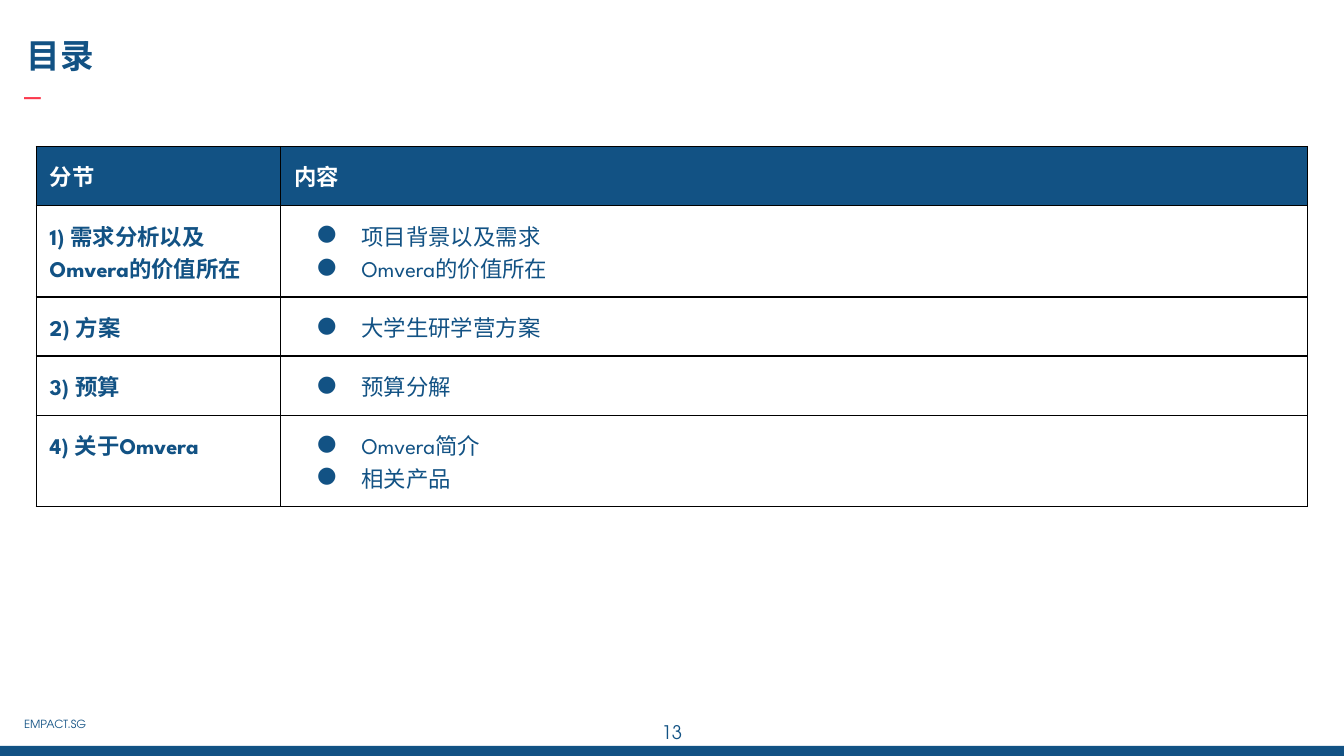
"""Build a contents slide with a two-column table of sections."""
from lxml.etree import SubElement as Sub
from pptx import Presentation
from pptx.dml.color import RGBColor as Rgb
from pptx.enum.shapes import MSO_SHAPE as Shape
from pptx.enum.text import PP_ALIGN as Align
from pptx.oxml.ns import qn
from pptx.util import Inches, Pt

HEX = {"navy": "125284", "red": "FB394D", "white": "FFFFFF", "black": "000000"}
HAN, GEO, BODY = "Noto Sans CJK SC", "TeX Gyre Adventor", "League Spartan"

HEAD = ("分节", "内容")
ROWS = [
    ("1) 需求分析以及Omvera的价值所在", ["项目背景以及需求", "Omvera的价值所在"]),
    ("2) 方案", ["大学生研学营方案"]),
    ("3) 预算", ["预算分解"]),
    ("4) 关于Omvera", ["Omvera简介", "相关产品"]),
]
WIDE = 10
TALL = WIDE * 9 / 16
COLS = (1.82, 7.64)
PAD, LINE = 0.1, 0.24
TEXTS = [
    ("13", (4.7, 5.28, 0.6, 0.43), PAD, "navy", {"name": GEO, "size": Pt(10)}, Align.CENTER),
    ("–", (0.18, 0.55, 3.32, 0.3), 0, "red", {"name": GEO, "size": Pt(18)}, Align.LEFT),
    ("EMPACT.SG", (0.18, 5.34, 0.73, 0.12), 0, "navy", {"name": GEO, "size": Pt(6)}, Align.LEFT),
    ("目录", (0.1, 0.16, 5.21, 0.34), PAD, "navy", {"name": HAN, "size": Pt(18), "bold": True}, Align.LEFT),
]


def put(obj, vals):
    for key, val in vals.items():
        setattr(obj, key, val)


def paint(fill, hue):
    fill.solid()
    fill.fore_color.rgb = Rgb.from_string(HEX[hue])


def write(par, text, hue, form):
    run = par.add_run()
    run.text = text
    put(run.font, form)
    paint(run.font.fill, hue)
    Sub(run.font._element, qn("a:ea"), typeface=HAN)


def pad(obj, gap):
    put(obj, {f"margin_{side}": Inches(gap) for side in ("left", "top", "right", "bottom")})


def tint(node, hue):
    Sub(node, qn("a:srgbClr"), val=HEX[hue])


def dot(par):
    props = par._p.get_or_add_pPr()
    props.set("marL", str(Inches(0.5)))
    props.set("indent", str(Inches(-0.33)))
    tint(Sub(props, qn("a:buClr")), "navy")
    Sub(props, qn("a:buFont"), typeface=BODY)
    Sub(props, qn("a:buChar"), char="●")


def frame(cell):
    props = cell._tc.get_or_add_tcPr()
    for side in "LRTB":
        edge = Sub(props, qn(f"a:ln{side}"), w=str(Pt(0.75)))
        tint(Sub(edge, qn("a:solidFill")), "black")


def fill_cell(cell, lines, back, hue, bold, listed):
    frame(cell)
    paint(cell.fill, back)
    pad(cell, PAD)
    body = cell.text_frame
    for num, text in enumerate(lines):
        par = body.add_paragraph() if num else body.paragraphs[0]
        if listed:
            dot(par)
        write(par, text, hue, {"name": BODY, "size": Pt(12), "bold": bold})


def add_grid(slide):
    highs = [2 * PAD + LINE * n for n in [1] + [len(items) for _, items in ROWS]]
    spot = map(Inches, (0.27, 1.09, sum(COLS), sum(highs)))
    grid = slide.shapes.add_table(len(highs), len(COLS), *spot).table
    for col, wide in zip(grid.columns, COLS):
        col.width = Inches(wide)
    for row, high in zip(grid.rows, highs):
        row.height = Inches(high)
    for num, text in enumerate(HEAD):
        fill_cell(grid.cell(0, num), [text], "navy", "white", True, False)
    for num, (name, items) in enumerate(ROWS, 1):
        fill_cell(grid.cell(num, 0), [name], "white", "navy", True, False)
        fill_cell(grid.cell(num, 1), items, "white", "navy", False, True)


def main():
    deck = Presentation()
    put(deck, {"slide_width": Inches(WIDE), "slide_height": Inches(TALL)})
    slide = deck.slides.add_slide(deck.slide_layouts[6])
    bar = slide.shapes.add_shape(Shape.RECTANGLE, *map(Inches, (0, 5.55, WIDE, TALL - 5.55)))
    bar.shadow.inherit = False
    paint(bar.fill, "navy")
    bar.line.fill.background()
    for text, spot, gap, hue, form, side in TEXTS:
        body = slide.shapes.add_textbox(*map(Inches, spot)).text_frame
        body.word_wrap = True
        pad(body, gap)
        body.paragraphs[0].alignment = side
        write(body.paragraphs[0], text, hue, form)
    add_grid(slide)
    deck.save("out.pptx")


if __name__ == "__main__":
    main()
